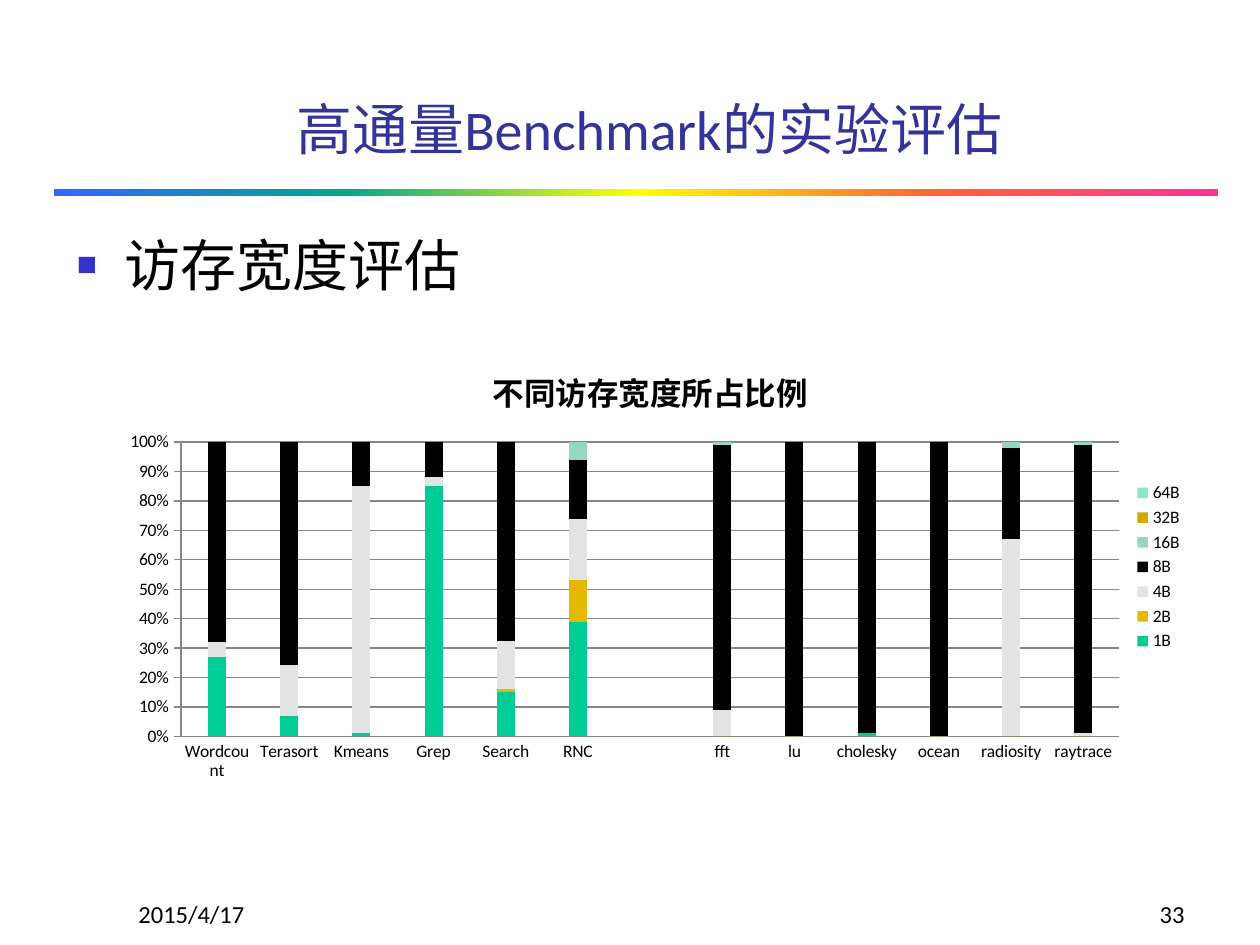
import pptx
import pptx.chart.data
import pptx.dml.color
import pptx.enum.chart
import pptx.enum.shapes
import pptx.enum.text
import pptx.oxml
import pptx.oxml.ns
import pptx.util
from dataclasses import dataclass
from lxml import etree

Inches = pptx.util.Inches


@dataclass
class Theme:
    font: str = "Calibri"
    title: str = "333399"
    text: str = "000000"
    bullet: str = "3333CC"
    grid: str = "868686"
    rainbow: tuple = ("3366FF", "01A78F", "FFFF00", "FF6633", "FF3399")
    heading_size: int = 32
    footer_size: int = 14
    chart_title_size: int = 18
    chart_size: int = 10


theme = Theme()


def style_font(font, size, color, bold=False):
    font.name = theme.font
    font.size = pptx.util.Pt(size)
    font.bold = bold
    font.color.rgb = pptx.dml.color.RGBColor.from_string(color)


def write_text(shape, box, text, size, color, align, anchor):
    shape.left, shape.top, shape.width, shape.height = [Inches(v) for v in box]
    frame = shape.text_frame
    frame.word_wrap = True
    frame.auto_size = pptx.enum.text.MSO_AUTO_SIZE.NONE
    frame.vertical_anchor = anchor
    paragraph = frame.paragraphs[0]
    paragraph.alignment = align
    run = paragraph.add_run()
    run.text = text
    style_font(run.font, size, color)
    return paragraph


presentation = pptx.Presentation()
presentation.slide_width, presentation.slide_height = Inches(10), Inches(7.5)
slide = presentation.slides.add_slide(presentation.slide_layouts[1])
Align = pptx.enum.text.PP_ALIGN
Anchor = pptx.enum.text.MSO_ANCHOR

# Rainbow rule under the title
rule = slide.shapes.add_shape(pptx.enum.shapes.MSO_SHAPE.RECTANGLE,
                              Inches(0.43), Inches(1.5), Inches(9.24), Inches(0.06))
rule.shadow.inherit = False
rule.line.fill.background()
rule.fill.gradient()
rule.fill.gradient_angle = 0
stops = rule.fill._fill._gradFill.find(pptx.oxml.ns.qn("a:gsLst"))
for stop in list(stops):
    stops.remove(stop)
for index, color in enumerate(theme.rainbow):
    stop = etree.SubElement(stops, pptx.oxml.ns.qn("a:gs"), pos=str(index * 25000))
    etree.SubElement(stop, pptx.oxml.ns.qn("a:srgbClr"), val=color)

# Title and bullet
write_text(slide.shapes.title, (2.25, 0.08, 7.53, 1.25), "高通量Benchmark的实验评估",
           theme.heading_size, theme.title, Align.LEFT, Anchor.BOTTOM)
bullet = write_text(slide.placeholders[1], (0.51, 1.78, 8.88, 0.63), "访存宽度评估",
                    theme.heading_size, theme.text, Align.LEFT, Anchor.TOP)
properties = bullet._p.get_or_add_pPr()
properties.set("marL", str(Inches(0.38)))
properties.set("indent", str(-Inches(0.38)))
color = etree.SubElement(properties, pptx.oxml.ns.qn("a:buClr"))
etree.SubElement(color, pptx.oxml.ns.qn("a:srgbClr"), val=theme.bullet)
etree.SubElement(properties, pptx.oxml.ns.qn("a:buSzPct"), val="60000")
etree.SubElement(properties, pptx.oxml.ns.qn("a:buChar"), char="■")

# Date and slide number
for left, text, align in ((1, "2015/4/17", Align.LEFT), (7.42, "33", Align.RIGHT)):
    box = (left, 6.92, 2.08, 0.5)
    footer = slide.shapes.add_textbox(*[Inches(v) for v in box])
    write_text(footer, box, text, theme.footer_size, theme.text, align, Anchor.BOTTOM)

# Chart data: share of each access width per benchmark, in percent
widths = (
    ("1B", "00CC96", (27, 7, 1, 85, 15, 39, None, 0, 0, 1, 0, 0, 0)),
    ("2B", "E3B800", (0, 0, 0, 0, 1, 14, None, 0, 0, 0, 0, 0, 0)),
    ("4B", "E3E3E3", (5, 17, 85, 3, 16, 21, None, 9, 0, 0, 0, 67, 1)),
    ("8B", "000000", (68, 75, 15, 12, 67, 20, None, 91, 100, 98, 100, 31, 97)),
    ("16B", "99D6BC", (0, 0, 0, 0, 0, 6, None, 1, 0, 0, 0, 2, 1)),
    ("32B", "CFA800", (0, 0, 0, 0, 0, 0, None, 0, 0, 0, 0, 0, 0)),
    ("64B", "87EBC8", (0, 0, 0, 0, 0, 0, None, 0, 0, 0, 0, 0, 0)),
)
data = pptx.chart.data.CategoryChartData()
data.categories = ["Wordcount", "Terasort", "Kmeans", "Grep", "Search", "RNC", "",
                   "fft", "lu", "cholesky", "ocean", "radiosity", "raytrace"]
for name, color, values in widths:
    data.add_series(name, values)
chart = slide.shapes.add_chart(pptx.enum.chart.XL_CHART_TYPE.COLUMN_STACKED_100,
                               Inches(0.83), Inches(2.73), Inches(8.66), Inches(3.54),
                               data).chart
style_font(chart.font, theme.chart_size, theme.text)

# Chart title and legend
chart.has_title = True
run = chart.chart_title.text_frame.paragraphs[0].add_run()
run.text = "不同访存宽度所占比例"
style_font(run.font, theme.chart_title_size, theme.text, bold=True)
chart.has_legend = True
chart.legend.position = pptx.enum.chart.XL_LEGEND_POSITION.RIGHT
chart.legend.include_in_layout = False

# Columns
plot = chart.plots[0]
plot.gap_width, plot.overlap = 300, 100
plot.vary_by_categories = False
for series, (name, color, values) in zip(plot.series, widths):
    series.format.fill.solid()
    series.format.fill.fore_color.rgb = pptx.dml.color.RGBColor.from_string(color)

# Axes and gridlines
Tick = pptx.enum.chart.XL_TICK_MARK
category_axis, value_axis = chart.category_axis, chart.value_axis
category_axis.major_tick_mark = Tick.NONE
value_axis.major_tick_mark = Tick.OUTSIDE
value_axis.minimum_scale, value_axis.maximum_scale, value_axis.major_unit = 0, 1, 0.1
value_axis.tick_labels.number_format = "0%"
value_axis.tick_labels.number_format_is_linked = False
value_axis.has_major_gridlines = True
for part in (category_axis, value_axis, value_axis.major_gridlines):
    part.format.line.color.rgb = pptx.dml.color.RGBColor.from_string(theme.grid)
    part.format.line.width = pptx.util.Pt(0.75)

# Fixed plot area, as fractions of the chart
plot_area = chart._chartSpace.chart.plotArea
for old in plot_area.findall(pptx.oxml.ns.qn("c:layout")):
    plot_area.remove(old)
layout = etree.Element(pptx.oxml.ns.qn("c:layout"))
manual = etree.SubElement(layout, pptx.oxml.ns.qn("c:manualLayout"))
for tag, value in (("layoutTarget", "inner"), ("xMode", "edge"), ("yMode", "edge"),
                   ("x", "0.07"), ("y", "0.22"), ("w", "0.86"), ("h", "0.66")):
    etree.SubElement(manual, pptx.oxml.ns.qn("c:" + tag), val=value)
plot_area.insert(0, layout)

presentation.save("out.pptx")
